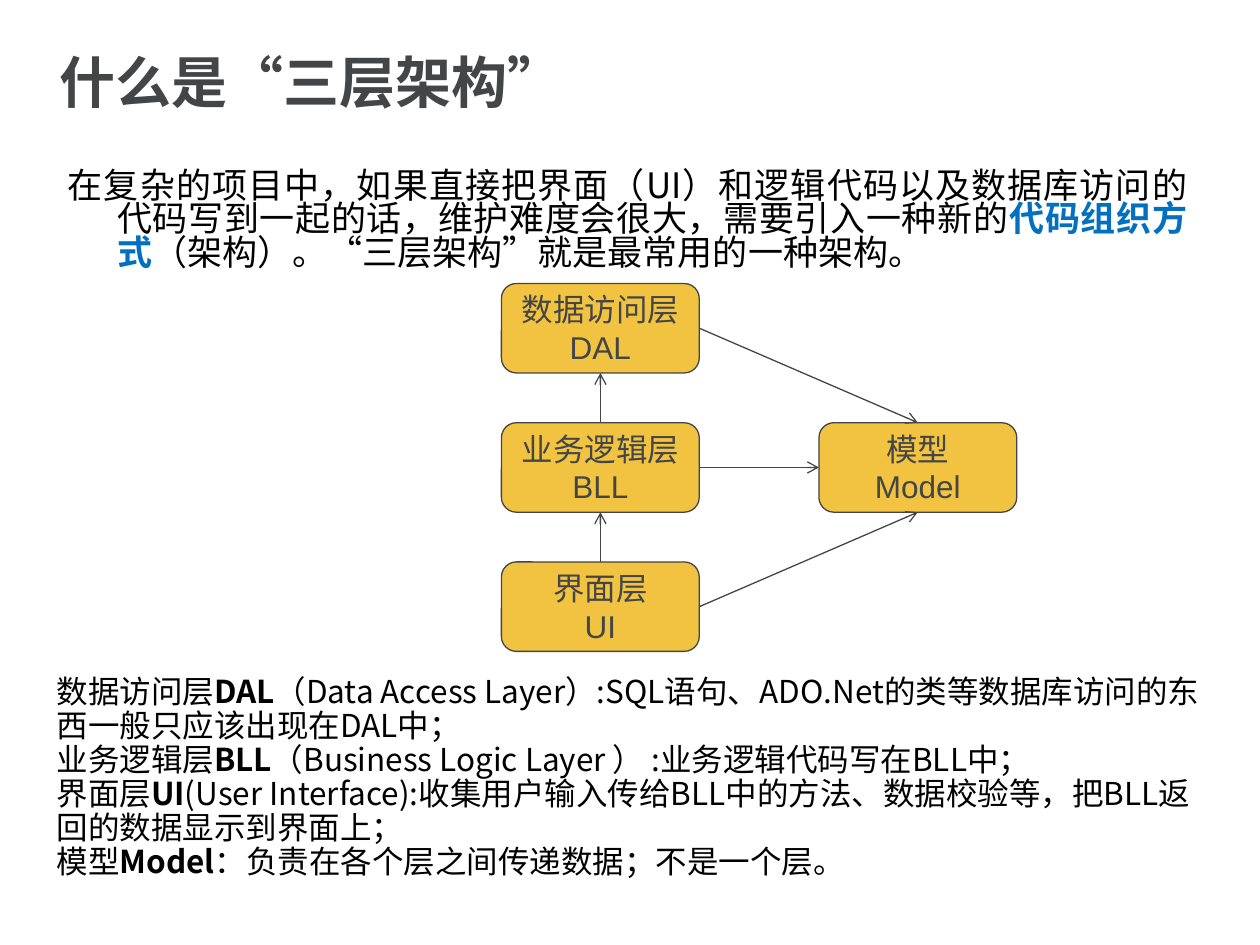
from dataclasses import dataclass

from lxml import etree
from pptx import Presentation
from pptx.dml.color import RGBColor
from pptx.enum.shapes import MSO_CONNECTOR, MSO_SHAPE
from pptx.enum.text import MSO_ANCHOR, MSO_AUTO_SIZE, PP_ALIGN
from pptx.oxml.ns import qn
from pptx.util import Inches, Pt

ROUNDED, STRAIGHT = MSO_SHAPE.ROUNDED_RECTANGLE, MSO_CONNECTOR.STRAIGHT
TOP, MIDDLE, NO_FIT = MSO_ANCHOR.TOP, MSO_ANCHOR.MIDDLE, MSO_AUTO_SIZE.NONE
LEFT, CENTER, JUSTIFY = PP_ALIGN.LEFT, PP_ALIGN.CENTER, PP_ALIGN.JUSTIFY
SITE_TOP, SITE_LEFT, SITE_BOTTOM, SITE_RIGHT = range(4)
TITLE_ONLY = 5


@dataclass(frozen=True)
class Theme:
    """Colours, fonts and type sizes of the slide."""
    ink: RGBColor = RGBColor.from_string("434547")
    text: RGBColor = RGBColor.from_string("000000")
    accent: RGBColor = RGBColor.from_string("0070C0")
    node: RGBColor = RGBColor.from_string("F1C341")
    font: str = "Noto Sans CJK SC"
    node_font: str = "Arial"
    title_size: int = 32
    intro_size: int = 20
    body_size: int = 18
    line_width: float = 0.75


THEME = Theme()
WIDTH, HEIGHT = 10, 7.5
TITLE_BOX = (0.37, 0.31, 9.18, 0.74)
INTRO_BOX = (0.44, 1.31, 9.08, 0.86)
DIAGRAM_BOX = (3.98, 2.25, 4.09, 2.92)
NOTES_BOX = (0.35, 5.32, 9.29, 1.74)

TITLE = "什么是“三层架构”"
INTRO = [
    ("在复杂的项目中，如果直接把界面（UI）和逻辑代码以及数据库访问的代码写到一起的话，"
     "维护难度会很大，需要引入一种新的", {}),
    ("代码组织方式", {"bold": True, "color": THEME.accent}),
    ("（架构）。“三层架构”就是最常用的一种架构。", {}),
]
NOTES = [
    ("数据访问层", "DAL", "（Data Access Layer）:SQL语句、ADO.Net的类等数据库访问的东西一般只应该出现在DAL中；"),
    ("业务逻辑层", "BLL", "（Business Logic Layer ） :业务逻辑代码写在BLL中；"),
    ("界面层", "UI", "(User Interface):收集用户输入传给BLL中的方法、数据校验等，把BLL返回的数据显示到界面上；"),
    ("模型", "Model", "：负责在各个层之间传递数据；不是一个层。"),
]
# name: (column, row, paragraphs)
NODES = {
    "dal": (0, 0, ["数据访问层DAL"]),
    "bll": (0, 1, ["业务逻辑层", "BLL"]),
    "ui": (0, 2, ["界面层", "UI"]),
    "model": (1, 1, ["模型", "Model"]),
}
ARROWS = [
    ("bll", SITE_TOP, "dal", SITE_BOTTOM),
    ("ui", SITE_TOP, "bll", SITE_BOTTOM),
    ("dal", SITE_RIGHT, "model", SITE_TOP),
    ("bll", SITE_RIGHT, "model", SITE_LEFT),
    ("ui", SITE_RIGHT, "model", SITE_BOTTOM),
]


def set_attributes(target, values):
    """Set each named attribute on the target."""
    for name, value in values.items():
        setattr(target, name, value)


def add_run(paragraph, text, size, color, font=THEME.font, bold=False):
    """Append a run with its Latin and East Asian fonts."""
    run = paragraph.add_run()
    run.text = text
    set_attributes(run.font, {"size": Pt(size), "bold": bold, "name": font})
    run.font.color.rgb = color
    east_asian = etree.SubElement(run.font._element, qn("a:ea"))
    east_asian.set("typeface", THEME.font)


def fill_frame(shape, paragraphs, frame_format, paragraph_format):
    """Write paragraphs, each a list of run argument dicts, into a shape."""
    frame = shape.text_frame
    set_attributes(frame, {"word_wrap": True, "auto_size": NO_FIT, **frame_format})
    for index, runs in enumerate(paragraphs):
        paragraph = frame.add_paragraph() if index else frame.paragraphs[0]
        set_attributes(paragraph, paragraph_format)
        for run in runs:
            add_run(paragraph, **run)
    return frame


def add_title(slide, box):
    """Place and format the title placeholder."""
    title = slide.shapes.title
    set_attributes(title, dict(zip(("left", "top", "width", "height"), map(Inches, box))))
    run = {"text": TITLE, "size": THEME.title_size, "color": THEME.ink, "bold": True}
    fill_frame(title, [[run]], {"vertical_anchor": MIDDLE},
               {"alignment": LEFT, "line_spacing": 0.9})


def add_intro(slide, box):
    """Add the justified opening paragraph with its hanging indent."""
    shape = slide.shapes.add_textbox(*map(Inches, box))
    base = {"size": THEME.intro_size, "color": THEME.text}
    runs = [{"text": text, **base, **changes} for text, changes in INTRO]
    frame = fill_frame(shape, [runs], {"vertical_anchor": TOP},
                       {"alignment": JUSTIFY, "line_spacing": 0.8, "space_before": Pt(16)})
    properties = frame.paragraphs[0]._p.get_or_add_pPr()
    properties.set("marL", str(Inches(0.39)))
    properties.set("indent", str(Inches(-0.39)))


def add_node(slide, box, lines):
    """Add one rounded box of the diagram."""
    shape = slide.shapes.add_shape(ROUNDED, *map(Inches, box))
    shape.shadow.inherit = False
    shape.fill.solid()
    shape.fill.fore_color.rgb = THEME.node
    shape.line.color.rgb = THEME.ink
    shape.line.width = Pt(THEME.line_width)
    base = {"size": THEME.body_size, "color": THEME.ink, "font": THEME.node_font}
    fill_frame(shape, [[{"text": line, **base}] for line in lines],
               {"vertical_anchor": MIDDLE}, {"alignment": CENTER})
    return shape


def add_arrow(slide, start, start_site, end, end_site):
    """Connect two nodes with an open arrowhead at the end."""
    connector = slide.shapes.add_connector(STRAIGHT, 0, 0, 0, 0)
    connector.begin_connect(start, start_site)
    connector.end_connect(end, end_site)
    connector.line.color.rgb = THEME.ink
    connector.line.width = Pt(THEME.line_width)
    etree.SubElement(connector.line._get_or_add_ln(), qn("a:tailEnd")).set("type", "arrow")
    etree.SubElement(connector._element.spPr, qn("a:effectLst"))


def add_diagram(slide, box):
    """Lay the layers out on a grid of two columns and three rows."""
    left, top, width, height = box
    node_width, node_height = 1.57, 0.71
    column_step, row_step = width - node_width, (height - node_height) / 2
    nodes = {
        name: add_node(slide, (left + column * column_step, top + row * row_step,
                               node_width, node_height), lines)
        for name, (column, row, lines) in NODES.items()
    }
    for start, start_site, end, end_site in ARROWS:
        add_arrow(slide, nodes[start], start_site, nodes[end], end_site)


def add_notes(slide, box):
    """Add the explanations, with each abbreviation in bold."""
    shape = slide.shapes.add_textbox(*map(Inches, box))
    base = {"size": THEME.body_size, "color": THEME.text}
    paragraphs = [[{"text": text, "bold": index == 1, **base}
                   for index, text in enumerate(parts)] for parts in NOTES]
    fill_frame(shape, paragraphs, {"vertical_anchor": TOP},
               {"alignment": LEFT, "line_spacing": 0.9})


def main():
    """Build and save the slide."""
    presentation = Presentation()
    set_attributes(presentation, {"slide_width": Inches(WIDTH), "slide_height": Inches(HEIGHT)})
    slide = presentation.slides.add_slide(presentation.slide_layouts[TITLE_ONLY])
    add_title(slide, TITLE_BOX)
    add_intro(slide, INTRO_BOX)
    add_notes(slide, NOTES_BOX)
    add_diagram(slide, DIAGRAM_BOX)
    presentation.save("out.pptx")


main()
